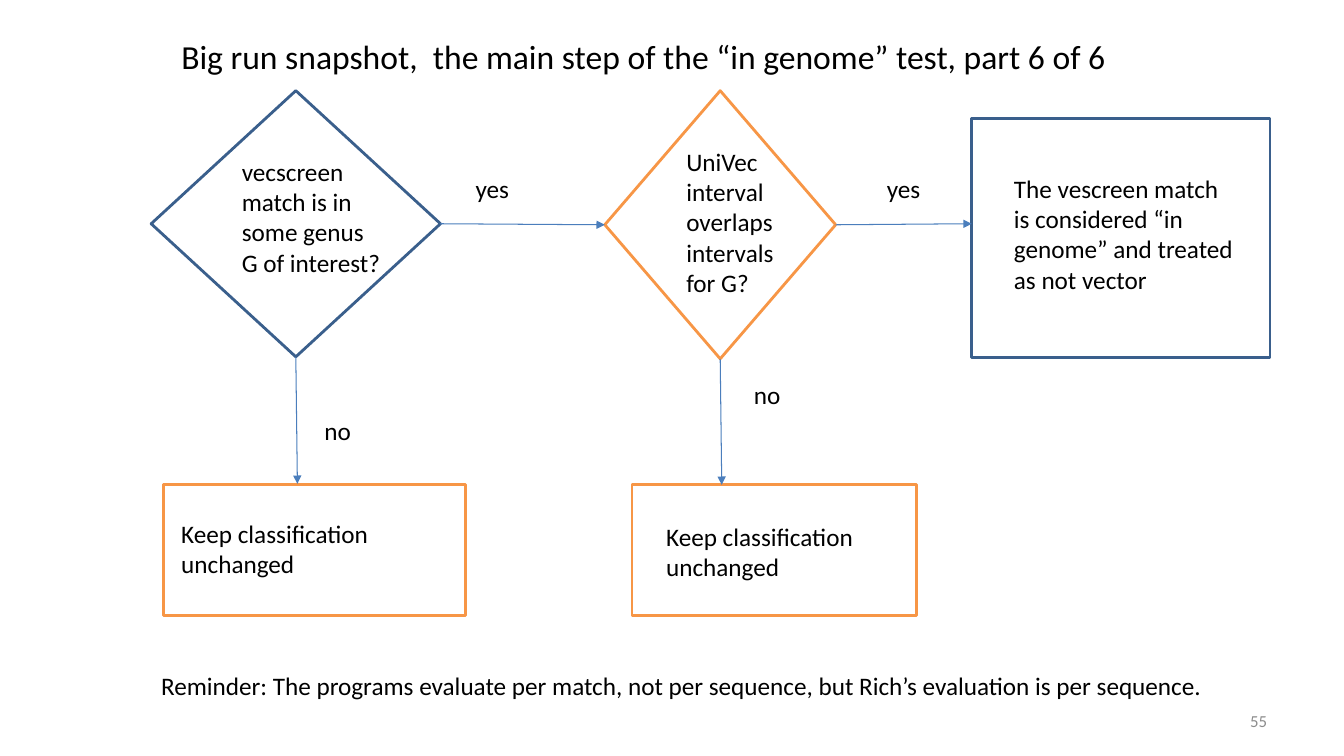
from dataclasses import dataclass

from lxml import etree
from pptx import Presentation
from pptx.dml.color import RGBColor
from pptx.enum.shapes import MSO_CONNECTOR, MSO_SHAPE
from pptx.enum.text import MSO_ANCHOR, MSO_AUTO_SIZE, PP_ALIGN
from pptx.oxml.ns import qn
from pptx.shapes.autoshape import Shape
from pptx.shapes.connector import Connector
from pptx.slide import Slide
from pptx.util import Emu, Inches, Pt

DIAMOND = MSO_SHAPE.DIAMOND
RECTANGLE = MSO_SHAPE.RECTANGLE
STRAIGHT = MSO_CONNECTOR.STRAIGHT
LEFT, RIGHT = PP_ALIGN.LEFT, PP_ALIGN.RIGHT
TOP, MIDDLE = MSO_ANCHOR.TOP, MSO_ANCHOR.MIDDLE
FIT_SHAPE, FIT_NONE = MSO_AUTO_SIZE.SHAPE_TO_FIT_TEXT, MSO_AUTO_SIZE.NONE
BOTTOM_SITE, RIGHT_SITE = 2, 3

GRID_CELL = Inches(0.1)
SLIDE_COLUMNS, SLIDE_ROWS = 133.33, 75
BLANK_LAYOUT = 6


@dataclass(frozen=True)
class Theme:
    font: str = "Calibri"
    ink: RGBColor = RGBColor(0x00, 0x00, 0x00)
    muted: RGBColor = RGBColor(0x8C, 0x8C, 0x8C)
    paper: RGBColor = RGBColor(0xFF, 0xFF, 0xFF)
    blue: RGBColor = RGBColor(0x3A, 0x5F, 0x8C)
    orange: RGBColor = RGBColor(0xF7, 0x96, 0x46)
    arrow: RGBColor = RGBColor(0x4B, 0x7E, 0xBC)
    title_size: float = 24
    body_size: float = 18
    number_size: float = 12
    outline_width: float = 2
    arrow_width: float = 0.75


THEME = Theme()


@dataclass(frozen=True)
class Area:
    column: float
    row: float
    columns: float
    rows: float


@dataclass(frozen=True)
class Node:
    name: str
    kind: MSO_SHAPE
    area: Area
    outline: RGBColor
    text: str
    text_area: Area


@dataclass(frozen=True)
class Branch:
    source: str
    site: int
    start: tuple[float, float]
    end: tuple[float, float]
    answer: str
    answer_area: Area


NODES = [
    Node("genus", DIAMOND, Area(15, 9, 28.7, 26.4), THEME.blue,
         "vecscreen match is in some genus G of interest?", Area(23, 15, 15.8, 13.1)),
    Node("overlap", DIAMOND, Area(60, 9, 22.9, 26.6), THEME.orange,
         "UniVec interval overlaps intervals for G?", Area(67.1, 14, 12.9, 16.2)),
    Node("in genome", RECTANGLE, Area(96.4, 11.8, 29.6, 23.7), THEME.blue,
         "The vescreen match is considered “in genome” and treated as not vector",
         Area(99.6, 16.7, 24.2, 13.1)),
    Node("other genus", RECTANGLE, Area(16.2, 48.1, 30, 13), THEME.orange,
         "Keep classification unchanged", Area(17, 50.9, 22.7, 7.1)),
    Node("no overlap", RECTANGLE, Area(62.7, 48.1, 28.2, 13), THEME.orange,
         "Keep classification unchanged", Area(65.1, 51.2, 21.9, 7.1)),
]

BRANCHES = [
    Branch("genus", RIGHT_SITE, (43.7, 22.2), (60, 22.3), "yes", Area(46.2, 16.7, 9.6, 4)),
    Branch("genus", BOTTOM_SITE, (29.4, 35.4), (29.5, 48), "no", Area(31.2, 40.7, 7.6, 4)),
    Branch("overlap", RIGHT_SITE, (82.9, 22.3), (96.4, 22.2), "yes", Area(87, 16.7, 10.9, 4)),
    Branch("overlap", BOTTOM_SITE, (71.4, 35.6), (71.6, 48.1), "no", Area(73.8, 37.1, 9.1, 4)),
]


def cells(count: float) -> Emu:
    return Emu(round(count * GRID_CELL))


def place(area: Area) -> tuple[Emu, Emu, Emu, Emu]:
    return cells(area.column), cells(area.row), cells(area.columns), cells(area.rows)


def add_text(slide: Slide, text: str, area: Area, *, size: float = THEME.body_size,
             color: RGBColor = THEME.ink, align: PP_ALIGN = LEFT,
             anchor: MSO_ANCHOR = TOP, fit: MSO_AUTO_SIZE = FIT_SHAPE) -> None:
    frame = slide.shapes.add_textbox(*place(area)).text_frame
    frame.word_wrap = True
    frame.auto_size = fit
    frame.vertical_anchor = anchor
    paragraph = frame.paragraphs[0]
    paragraph.alignment = align
    run = paragraph.add_run()
    run.text = text
    run.font.name = THEME.font
    run.font.size = Pt(size)
    run.font.color.rgb = color


def add_node(slide: Slide, node: Node) -> Shape:
    shape = slide.shapes.add_shape(node.kind, *place(node.area))
    shape.shadow.inherit = False
    shape.fill.solid()
    shape.fill.fore_color.rgb = THEME.paper
    shape.line.color.rgb = node.outline
    shape.line.width = Pt(THEME.outline_width)
    add_text(slide, node.text, node.text_area)
    return shape


def add_branch(slide: Slide, branch: Branch, source: Shape) -> Connector:
    points = [cells(value) for value in (*branch.start, *branch.end)]
    connector = slide.shapes.add_connector(STRAIGHT, *points)
    connector.begin_connect(source, branch.site)
    connector.line.color.rgb = THEME.arrow
    connector.line.width = Pt(THEME.arrow_width)
    properties = connector.element.spPr
    etree.SubElement(properties.find(qn("a:ln")), qn("a:tailEnd"), type="triangle")
    etree.SubElement(properties, qn("a:effectLst"))
    add_text(slide, branch.answer, branch.answer_area)
    return connector


def main() -> None:
    presentation = Presentation()
    presentation.slide_width = cells(SLIDE_COLUMNS)
    presentation.slide_height = cells(SLIDE_ROWS)
    slide = presentation.slides.add_slide(presentation.slide_layouts[BLANK_LAYOUT])

    add_text(slide, "Big run snapshot,  the main step of the “in genome” test, part 6 of 6",
             Area(17, 3.1, 111.8, 5), size=THEME.title_size)
    shapes = {node.name: add_node(slide, node) for node in NODES}
    for branch in BRANCHES:
        add_branch(slide, branch, shapes[branch.source])
    add_text(slide, "Reminder: The programs evaluate per match, not per sequence, "
                    "but Rich’s evaluation is per sequence.", Area(15, 66, 116.3, 4))
    add_text(slide, "55", Area(95.6, 69.5, 31.1, 4), size=THEME.number_size,
             color=THEME.muted, align=RIGHT, anchor=MIDDLE, fit=FIT_NONE)

    presentation.save("out.pptx")


if __name__ == "__main__":
    main()
